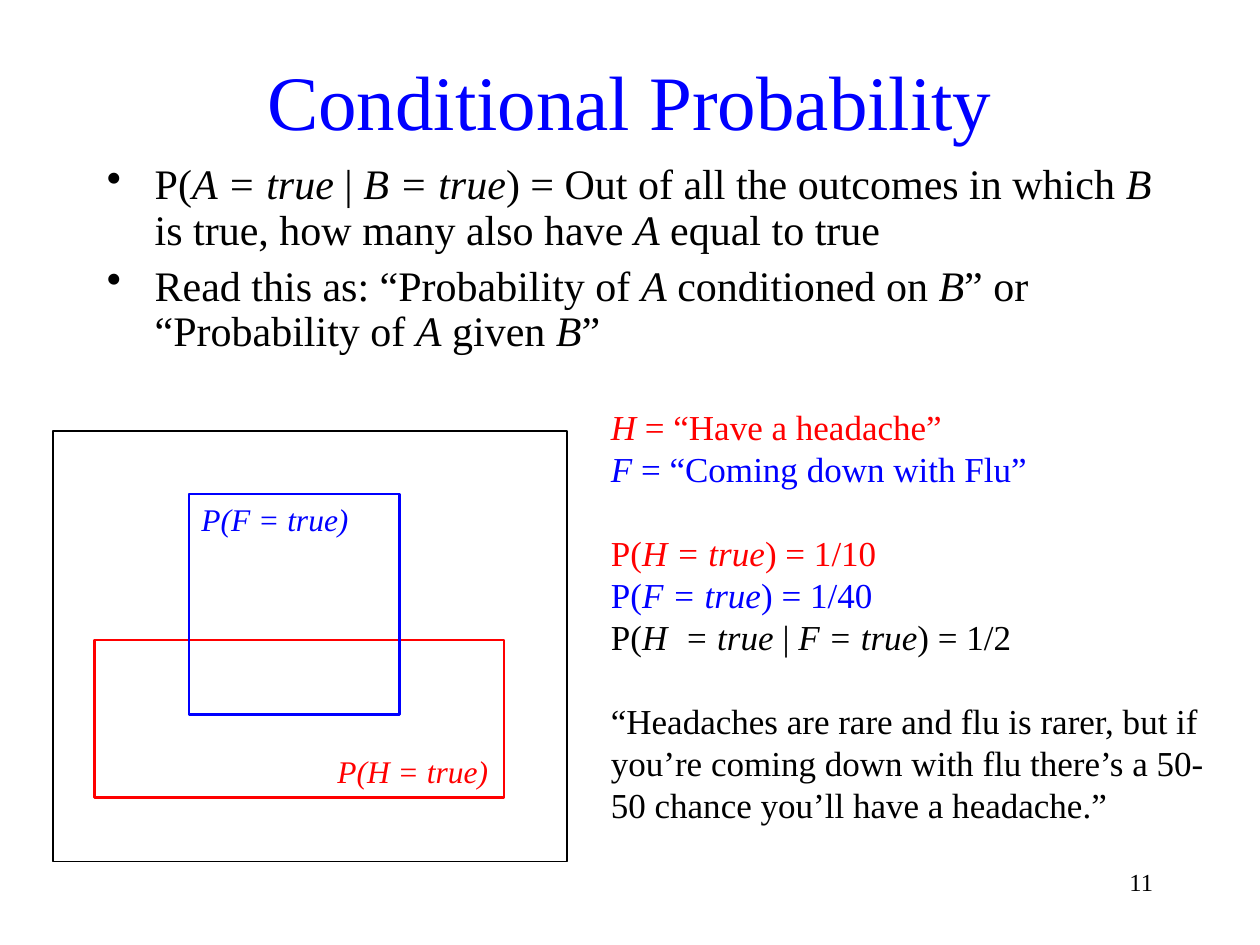
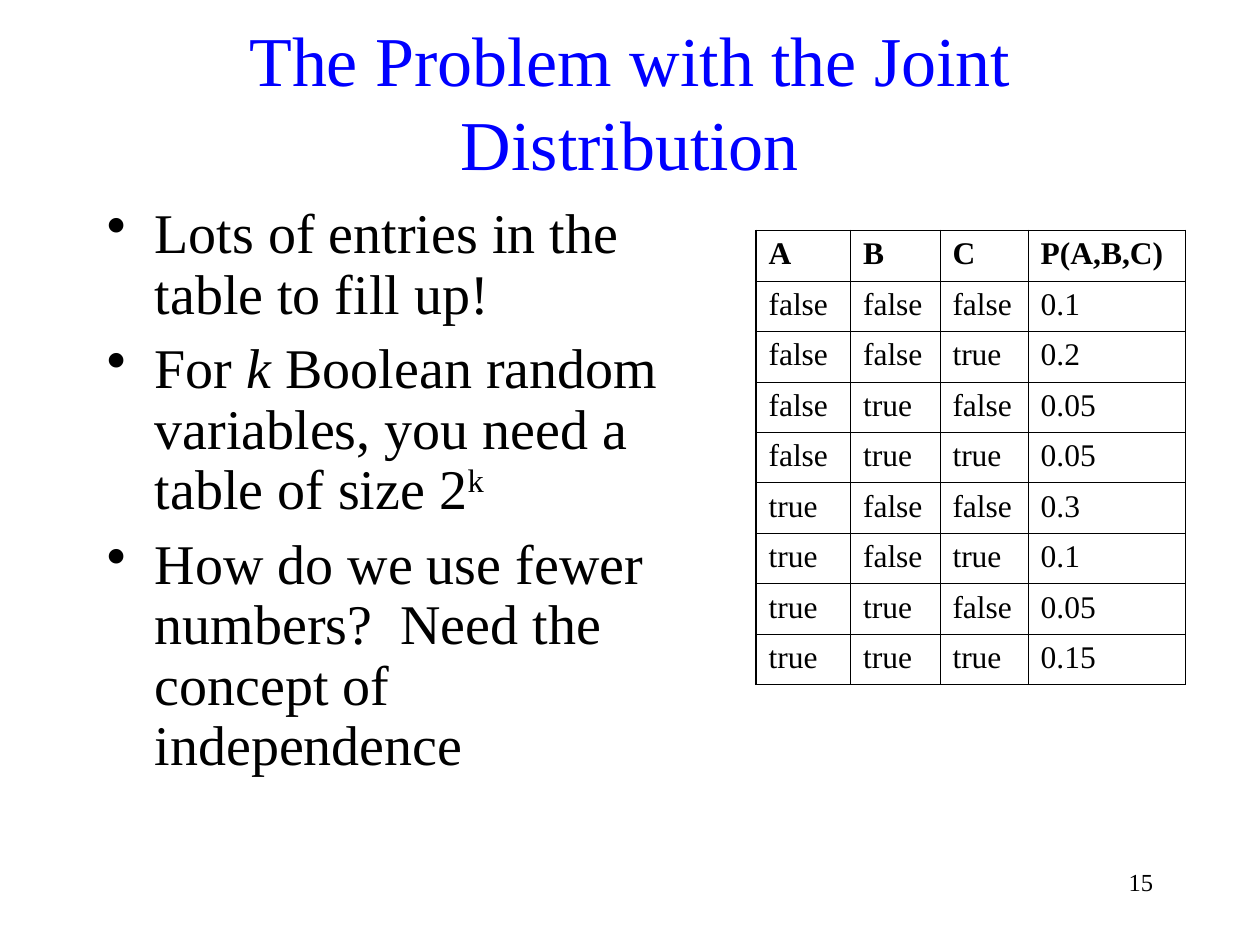
from dataclasses import dataclass

from lxml.etree import SubElement
from pptx import Presentation
from pptx.dml.color import RGBColor as RGB
from pptx.enum.shapes import MSO_SHAPE as Shape
from pptx.enum.text import MSO_ANCHOR as Anchor, MSO_AUTO_SIZE as AutoSize, PP_ALIGN as Align
from pptx.oxml.ns import qn
from pptx.util import Inches, Pt


@dataclass(frozen=True)
class Theme:
    font: str = "Times New Roman"
    black: RGB = RGB(0, 0, 0)
    blue: RGB = RGB(0, 0, 255)
    red: RGB = RGB(255, 0, 0)
    fact: int = 20
    label: int = 18
    page: int = 14
    inner_line: float = 0.45
    outer_line: float = 1.08


T = Theme()


def write(tf, text, size, color=T.black, align=Align.LEFT, bold=False,
          before=0, spacing=None, bullet=False):
    """Add a paragraph; *...* is italic and ^...^ is superscript."""
    p = tf.add_paragraph() if tf.text else tf.paragraphs[0]
    p.alignment = align
    p.space_before = Pt(before)
    if spacing:
        p.line_spacing = spacing
    if bullet:
        pPr = p._p.get_or_add_pPr()
        pPr.set("marL", str(Inches(0.38)))
        pPr.set("indent", str(-Inches(0.38)))
        SubElement(pPr, qn("a:buChar"), char="•")
    for i, part in enumerate(text.split("*")):
        for j, piece in enumerate(part.split("^")):
            if not piece:
                continue
            r = p.add_run()
            r.text = piece
            f = r.font
            f.name, f.size, f.bold, f.italic = T.font, Pt(size), bold, i % 2 == 1
            f.color.rgb = color
            if j % 2:
                r._r.get_or_add_rPr().set("baseline", "30000")


def add_text(s, left, top, width, height):
    tf = s.shapes.add_textbox(Inches(left), Inches(top), Inches(width), Inches(height)).text_frame
    tf.word_wrap = True
    return tf


prs = Presentation()
prs.slide_width, prs.slide_height = Inches(10), Inches(7.5)

outline = [
    ("Conditional Probability", 44, "11", (0.75, 1.25, 8.5, 1.83), 24, 6, [
        "P(*A = true *| *B = true*) = Out of all the outcomes in which *B* is true, "
        "how many also have *A* equal to true",
        "Read this as: “Probability of *A* conditioned on *B*” or “Probability of *A* given *B*”",
    ]),
    ("The Problem with the Joint Distribution", 40, "15", (0.75, 1.58, 4.58, 5.08), 32, 8, [
        "Lots of entries in the table to fill up!",
        "For *k* Boolean random variables, you need a table of size 2^k^",
        "How do we use fewer numbers?  Need the concept of independence",
    ]),
]
slides = []
for title, title_size, page, body, body_size, before, bullets in outline:
    s = prs.slides.add_slide(prs.slide_layouts[5])
    sp = s.shapes.title
    sp.left, sp.top, sp.width, sp.height = Inches(0.75), Inches(0.17), Inches(8.5), Inches(1.25)
    tf = sp.text_frame
    tf.auto_size, tf.vertical_anchor = AutoSize.NONE, Anchor.MIDDLE
    write(tf, title, title_size, color=T.blue, align=Align.CENTER)
    tf = add_text(s, *body)
    for text in bullets:
        write(tf, text, body_size, before=before, spacing=0.9, bullet=True)
    write(add_text(s, 8.17, 6.83, 1.08, 0.5), page, T.page, align=Align.RIGHT)
    slides.append(s)

conditional, joint = slides

for left, top, width, height, color, line in [
    (0.42, 3.42, 4.08, 3.42, T.black, 0.75),
    (0.75, 5.08, 3.25, 1.25, T.red, 1.5),
    (1.5, 3.92, 1.67, 1.75, T.blue, 1.5),
]:
    sp = conditional.shapes.add_shape(
        Shape.RECTANGLE, Inches(left), Inches(top), Inches(width), Inches(height))
    sp.shadow.inherit = False
    sp.fill.background()
    sp.line.color.rgb, sp.line.width = color, Pt(line)

for left, top, text, color in [
    (1.5, 3.92, "*P(F = true)*", T.blue),
    (2.58, 5.92, "*P(H = true)*", T.red),
]:
    write(add_text(conditional, left, top, 1.42, 0.4), text, T.label, color=color)

tf = add_text(conditional, 4.75, 3.17, 5, 3.44)
for text, color, before in [
    ("*H *= “Have a headache”", T.red, 0),
    ("*F* = “Coming down with Flu”", T.blue, 0),
    ("P(*H = true*) = 1/10", T.red, 24),
    ("P(*F = true*) = 1/40", T.blue, 0),
    ("P(*H  = true *| *F = true*) = 1/2", T.black, 0),
    ("“Headaches are rare and flu is rarer, but if you’re coming down with flu "
     "there’s a 50-50 chance you’ll have a headache.”", T.black, 24),
]:
    write(tf, text, T.fact, color=color, before=before)

rows = [
    ("A", "B", "C", "P(A,B,C)"),
    ("false", "false", "false", "0.1"),
    ("false", "false", "true", "0.2"),
    ("false", "true", "false", "0.05"),
    ("false", "true", "true", "0.05"),
    ("true", "false", "false", "0.3"),
    ("true", "false", "true", "0.1"),
    ("true", "true", "false", "0.05"),
    ("true", "true", "true", "0.15"),
]
widths = [0.75, 0.71, 0.7, 1.25]
table = joint.shapes.add_table(
    len(rows), len(widths), Inches(6), Inches(1.83),
    Inches(sum(widths)), Inches(0.4 * len(rows))).table
table.first_row = table.horz_banding = False
for column, width in zip(table.columns, widths):
    column.width = Inches(width)
for i, row in enumerate(rows):
    for j, text in enumerate(row):
        cell = table.cell(i, j)
        write(cell.text_frame, text, T.label, bold=i == 0, before=4.5)
        tcPr = cell._tc.get_or_add_tcPr()
        for side, outer in [("L", j == 0), ("R", j == len(widths) - 1),
                            ("T", i == 0), ("B", i == len(rows) - 1)]:
            weight = T.outer_line if outer else T.inner_line
            ln = SubElement(tcPr, qn("a:ln" + side), w=str(Pt(weight)))
            SubElement(SubElement(ln, qn("a:solidFill")), qn("a:srgbClr"), val=str(T.black))
        cell.fill.background()

prs.save("out.pptx")
